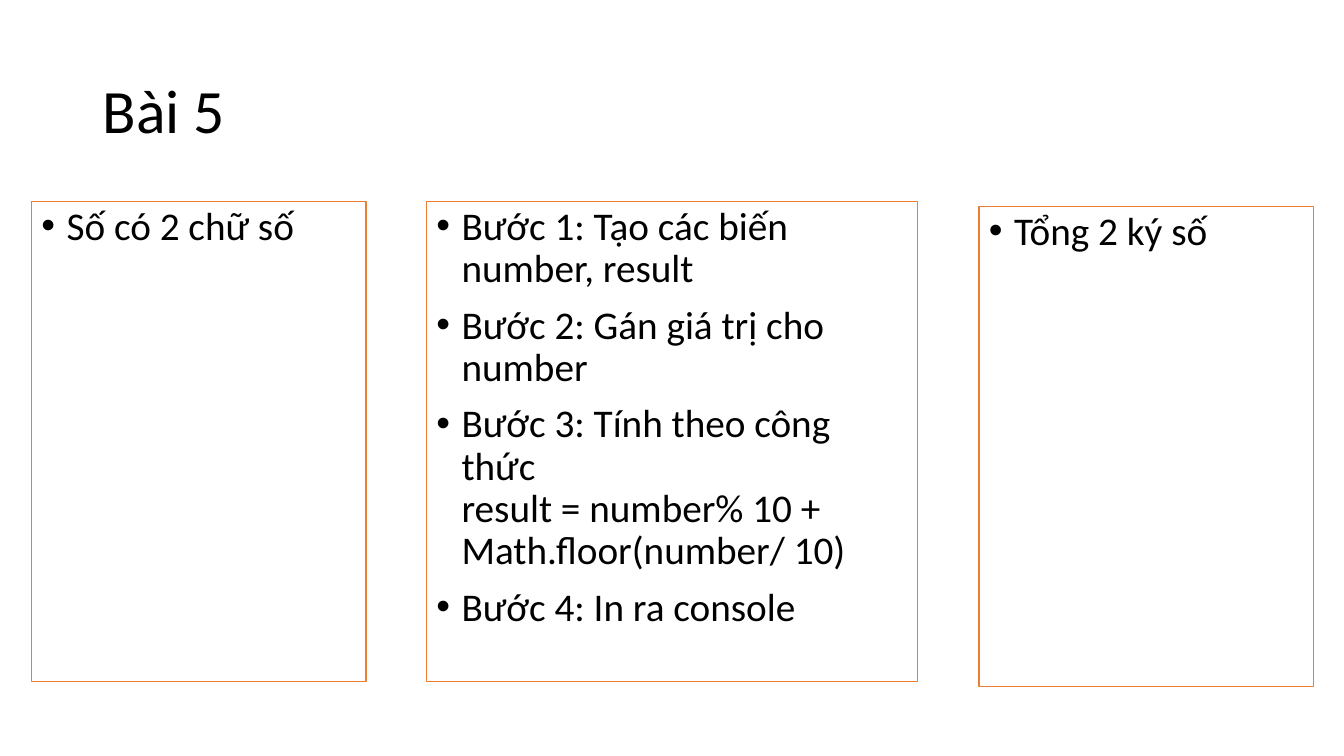
from lxml import etree
from pptx import Presentation
from pptx.dml.color import RGBColor
from pptx.enum.shapes import MSO_SHAPE
from pptx.enum.text import MSO_ANCHOR, MSO_AUTO_SIZE, PP_ALIGN
from pptx.oxml.ns import qn
from pptx.util import Inches, Pt

RECT = MSO_SHAPE.RECTANGLE
TOP, MIDDLE = MSO_ANCHOR.TOP, MSO_ANCHOR.MIDDLE
LEFT = PP_ALIGN.LEFT
NO_FIT = MSO_AUTO_SIZE.NONE

TITLE = "Bài 5"
TITLE_BOX = (0.92, 0.4, 11.5, 1.45)
PANEL_HEIGHT = 4.76
INPUT = (0.31, 2, 3.32, ["Số có 2 chữ số"])
OUTPUT = (9.71, 2.05, 3.32, ["Tổng 2 ký số"])
STEPS = (4.23, 2, 4.87, [
    "Bước 1: Tạo các biến number, result",
    "Bước 2: Gán giá trị cho number",
    "Bước 3: Tính theo công thức\nresult = number% 10 + Math.floor(number/ 10)",
    "Bước 4: In ra console",
])
FRAME = {"word_wrap": True, "auto_size": NO_FIT}
PARAGRAPH = {"alignment": LEFT, "line_spacing": 0.9}
BULLETED = {**PARAGRAPH, "space_before": Pt(10)}


def rgb(value):
    return RGBColor.from_string(value)


def apply(target, values):
    for name, value in values.items():
        setattr(target, name, value)


def place(sp, left, top, width, height):
    apply(sp, {"left": Inches(left), "top": Inches(top),
               "width": Inches(width), "height": Inches(height)})


def add_bullet(p):
    pPr = p._p.get_or_add_pPr()
    pPr.set("marL", str(Inches(0.25)))
    pPr.set("indent", str(-Inches(0.25)))
    etree.SubElement(pPr, qn("a:buFont")).set("typeface", "Arial")
    etree.SubElement(pPr, qn("a:buChar")).set("char", "•")


def write(sp, lines, size, anchor, layout):
    tf = sp.text_frame
    apply(tf, {**FRAME, "vertical_anchor": anchor})
    for i, line in enumerate(lines):
        p = tf.add_paragraph() if i else tf.paragraphs[0]
        p.text = line
        apply(p, layout)
        for r in p.runs:
            apply(r.font, {"name": "Calibri", "size": Pt(size)})
            r.font.color.rgb = rgb("000000")


def fill_panel(sp, left, top, width, lines):
    place(sp, left, top, width, PANEL_HEIGHT)
    sp.fill.solid()
    sp.fill.fore_color.rgb = rgb("FFFFFF")
    sp.line.color.rgb = rgb("ED7D31")
    sp.line.width = Pt(1)
    sp.shadow.inherit = False
    write(sp, lines, 28, TOP, BULLETED)
    for p in sp.text_frame.paragraphs:
        add_bullet(p)


prs = Presentation()
prs.slide_width, prs.slide_height = Inches(13.33), Inches(7.5)
s = prs.slides.add_slide(prs.slide_layouts[1])

title = s.shapes.title
place(title, *TITLE_BOX)
write(title, [TITLE], 44, MIDDLE, PARAGRAPH)

fill_panel(s.placeholders[1], *INPUT)
for panel in (OUTPUT, STEPS):
    fill_panel(s.shapes.add_shape(RECT, 0, 0, 0, 0), *panel)

prs.save("out.pptx")
